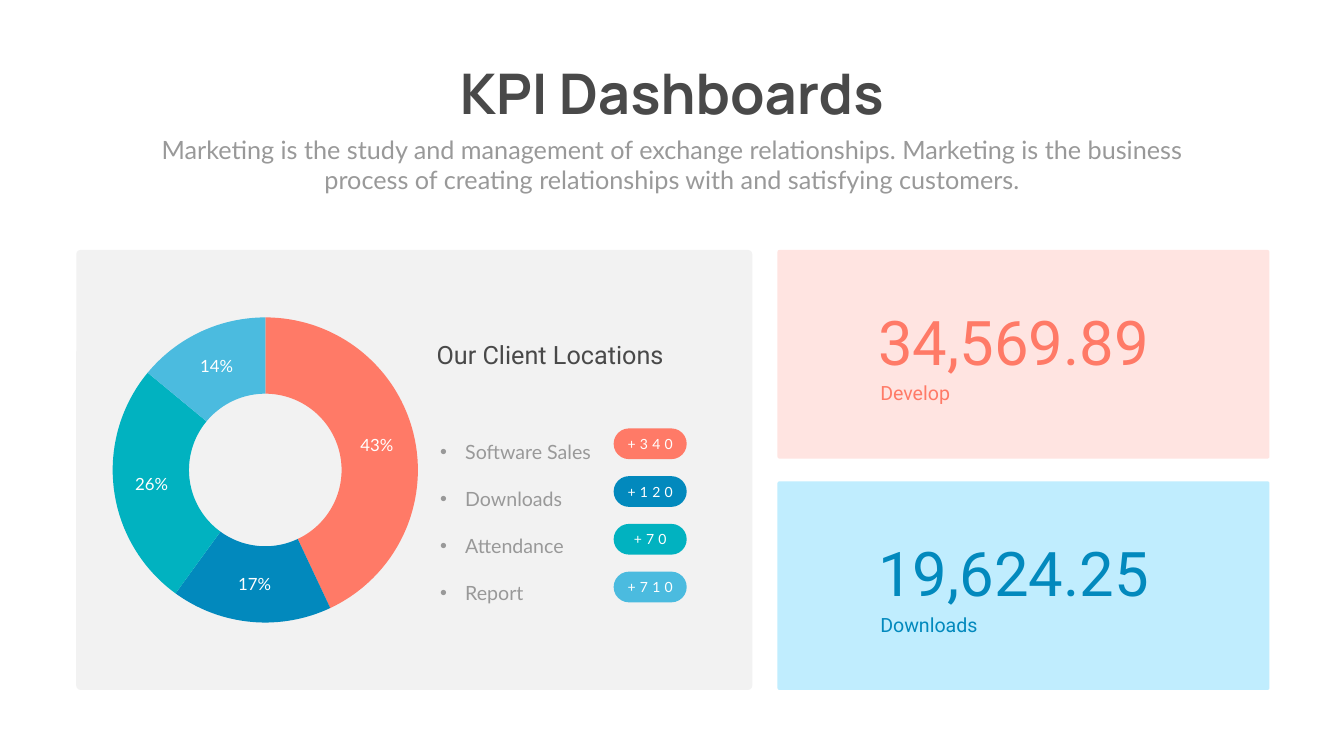
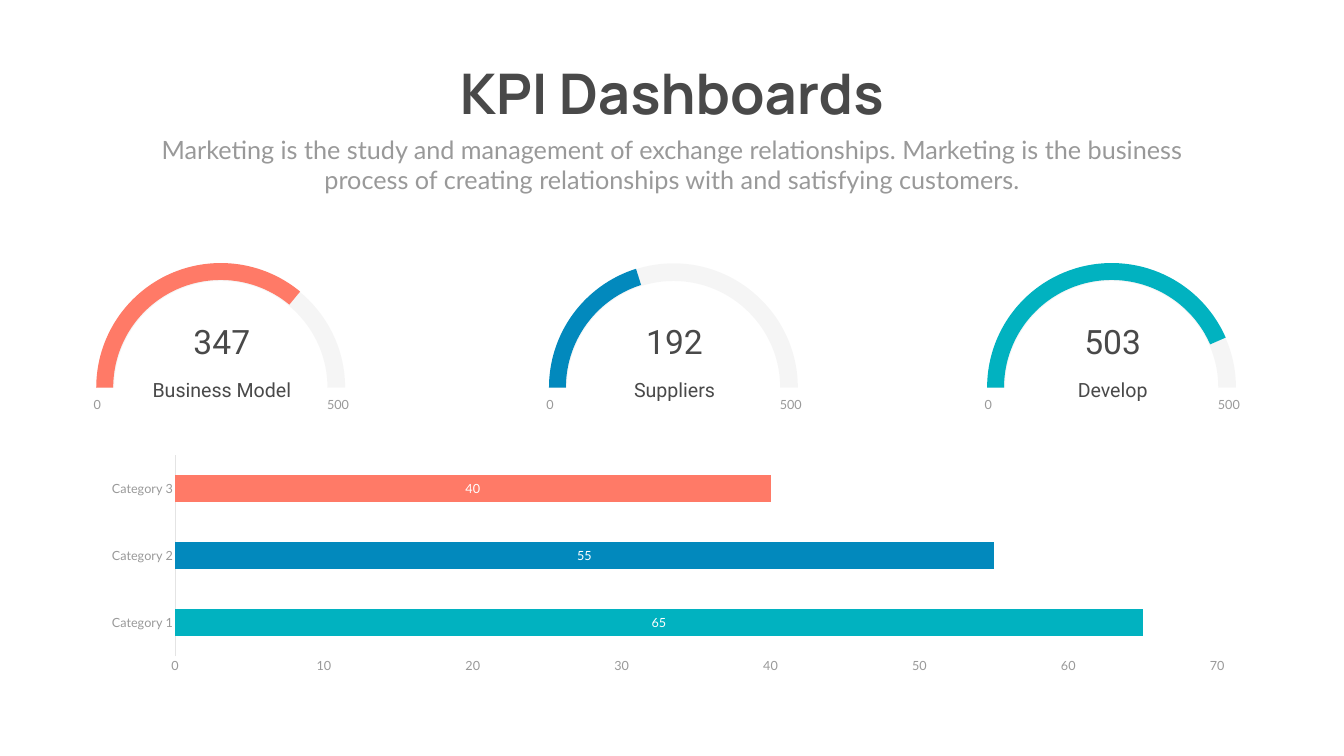
from lxml.etree import SubElement
from pptx import Presentation
from pptx.chart.data import CategoryChartData
from pptx.dml.color import RGBColor
from pptx.enum.chart import XL_CHART_TYPE, XL_LABEL_POSITION, XL_TICK_MARK
from pptx.enum.shapes import MSO_SHAPE
from pptx.enum.text import MSO_ANCHOR, MSO_AUTO_SIZE, PP_ALIGN
from pptx.oxml.ns import qn
from pptx.util import Pt

COLORS = {
    "coral": "FF7A67",
    "blue": "0289BD",
    "teal": "01B2C0",
    "sky": "4BBBDF",
    "heading": "494949",
    "muted": "999999",
    "panel": "F2F2F2",
    "blush": "FFE4E1",
    "ice": "C0EDFE",
    "axis": "E4E4E4",
    "white": "FFFFFF",
}
TITLE = "KPI Dashboards"
SUBTITLE = (
    "Marketing is the study and management of exchange relationships. "
    "Marketing is the business process of creating relationships with "
    "and satisfying customers."
)
LOCATIONS = [
    ("Software Sales", "+340", 43, "coral"),
    ("Downloads", "+120", 17, "blue"),
    ("Attendance", "+70", 26, "teal"),
    ("Report", "+710", 14, "sky"),
]
CARDS = [
    ("34,569.89", "Develop", "coral", "blush"),
    ("19,624.25", "Downloads", "blue", "ice"),
]
GAUGES = [
    (137.5, "347", "Business Model", 287.3, 230.42, "coral"),
    (784.1, "192", "Suppliers", 166.3, 287.53, "blue"),
    (1409.8, "503", "Develop", 166.3, 203.65, "teal"),
]
CATEGORIES = [
    ("Category 1", 65, "teal"),
    ("Category 2", 55, "blue"),
    ("Category 3", 40, "coral"),
]
ARC_HANDLE = 0.55


def rgb(name):
    return RGBColor.from_string(COLORS[name])


def style_font(font, size, color, face="Lato", bold=False):
    font.size = Pt(size)
    font.name = face
    font.bold = bold
    font.color.rgb = rgb(color)


def paint(shape, color):
    shape.shadow.inherit = False
    shape.fill.solid()
    shape.fill.fore_color.rgb = rgb(color)
    shape.line.fill.background()


def add_box(slide, kind, box, color, *adjustments):
    shape = slide.shapes.add_shape(kind, *map(Pt, box))
    paint(shape, color)
    for index, value in enumerate(adjustments):
        shape.adjustments[index] = value
    return shape


def add_text(slide, box, text, size, color, face="Lato", bold=False,
             align=PP_ALIGN.LEFT, wrap=True):
    label = slide.shapes.add_textbox(*map(Pt, box))
    frame = label.text_frame
    frame.text = text
    frame.word_wrap = wrap
    frame.auto_size = MSO_AUTO_SIZE.SHAPE_TO_FIT_TEXT
    for paragraph in frame.paragraphs:
        paragraph.alignment = align
        for run in paragraph.runs:
            style_font(run.font, size, color, face, bold)
    return frame


def add_header(slide):
    add_text(slide, (624.2, 80.6, 671, 104.4), TITLE, 80, "heading",
             "Manrope", True, PP_ALIGN.CENTER, False)
    add_text(slide, (210.2, 187.9, 1499, 94.3), SUBTITLE, 36, "muted",
             align=PP_ALIGN.CENTER)


def add_series_chart(slide, kind, box, names, values, colors, size):
    data = CategoryChartData()
    data.categories = names
    data.add_series("Series 1", values)
    chart = slide.shapes.add_chart(kind, *map(Pt, box), data).chart
    chart.has_legend = False
    chart.has_title = False
    style_font(chart.font, size, "muted")
    plot = chart.plots[0]
    for index, color in enumerate(colors):
        point = plot.series[0].points[index].format
        point.fill.solid()
        point.fill.fore_color.rgb = rgb(color)
        point.line.fill.background()
    plot.has_data_labels = True
    return chart


def add_locations_chart(slide, box):
    _, _, shares, colors = zip(*LOCATIONS)
    chart = add_series_chart(slide, XL_CHART_TYPE.DOUGHNUT, box,
                             ["1", "2", "3", "4"], shares, colors, 20)
    labels = chart.plots[0].data_labels
    labels.show_percentage = True
    labels.show_value = False
    labels.number_format = "0%"
    labels.number_format_is_linked = False
    style_font(labels.font, 24, "white")


def add_bullet(paragraph):
    properties = paragraph._p.get_or_add_pPr()
    properties.set("marL", str(Pt(36)))
    properties.set("indent", str(-Pt(36)))
    SubElement(properties, qn("a:buFont")).set("typeface", "Arial")
    SubElement(properties, qn("a:buChar")).set("char", "•")


def add_pill(slide, box, gain, color):
    pill = add_box(slide, MSO_SHAPE.ROUNDED_RECTANGLE, box, color, 0.5)
    frame = pill.text_frame
    frame.text = gain
    frame.word_wrap = False
    frame.vertical_anchor = MSO_ANCHOR.MIDDLE
    frame.paragraphs[0].alignment = PP_ALIGN.CENTER
    run = frame.paragraphs[0].runs[0]
    style_font(run.font, 20, "white")
    run._r.get_or_add_rPr().set("spc", "600")


def add_locations(slide, left, top, width, height):
    add_box(slide, MSO_SHAPE.ROUNDED_RECTANGLE, (left, top, width, height),
            "panel", 0.01)
    add_locations_chart(slide, (left + 18.7, top + 86.4, 502.6, 455.8))
    add_text(slide, (left + 507.6, top + 123.9, 403.2, 51.1),
             "Our Client Locations", 36, "heading", "Roboto")
    names = add_text(slide, (left + 512.5, top + 234, 297.4, 267.8),
                     "\n".join(place[0] for place in LOCATIONS), 28, "muted")
    for paragraph in names.paragraphs:
        paragraph.line_spacing = 2.0
        add_bullet(paragraph)
    for row, (_, gain, _, color) in enumerate(LOCATIONS):
        add_pill(slide, (left + 767.5, top + 254.9 + row * 68.2, 104.4, 43.9),
                 gain, color)


def add_card(slide, box, figure, caption, color, tint):
    left, top = box[:2]
    add_box(slide, MSO_SHAPE.ROUNDED_RECTANGLE, box, tint, 0.01)
    add_text(slide, (left + 136.8, top + 72.8, 429.1, 113.8), figure, 88,
             color, "Roboto")
    add_text(slide, (left + 139.7, top + 184, 294.5, 41), caption, 28,
             color, "Roboto")


def half_ring(center, base, radius):
    handle = radius * ARC_HANDLE
    left, right, top = center - radius, center + radius, base - radius
    rise = [(left, base), (left, base - handle), (center - handle, top)]
    fall = [(center + handle, top), (right, base - handle), (right, base)]
    return rise, (center, top), fall


def add_track(slide, left, top, radius, thickness):
    center, base = left + radius, top + radius
    rise, crown, fall = half_ring(center, base, radius)
    inner_rise, inner_crown, inner_fall = half_ring(center, base,
                                                    radius - thickness)
    outline = [*fall, *inner_fall[::-1], inner_crown, *inner_rise[::-1],
               *rise, crown]
    builder = slide.shapes.build_freeform(*map(Pt, crown))
    builder.add_line_segments([(Pt(x), Pt(y)) for x, y in outline])
    track = builder.convert_to_shape()
    paint(track, "muted")
    properties = track._element.spPr
    SubElement(properties.find(qn("a:solidFill"))[0],
               qn("a:alpha")).set("val", "9000")
    lines = list(properties.iter(qn("a:lnTo")))
    for first in (0, 4, 7, 11):
        curve = lines[first].makeelement(qn("a:cubicBezTo"))
        lines[first].addprevious(curve)
        for line in lines[first:first + 3]:
            curve.append(line[0])
            line.getparent().remove(line)
    SubElement(next(properties.iter(qn("a:path"))), qn("a:close"))


def add_gauge(slide, left, top, figure, caption, caption_width, start, color):
    size = 355.7
    add_track(slide, left + 0.4, top + 0.4, 177.5, 25.2)
    arc = add_box(slide, MSO_SHAPE.BLOCK_ARC, (left, top, size, size), color,
                  start * 0.6, 0.016, 0.068)
    arc._element.spPr.find(qn("a:xfrm")).set("flipH", "1")
    middle = left + 179.3
    add_text(slide, (middle - 81, top + 79.5, 162, 65.5), figure, 48,
             "heading", "Roboto", align=PP_ALIGN.CENTER)
    add_text(slide, (middle - caption_width / 2, top + 160.2, caption_width, 41),
             caption, 28, "heading", "Roboto", align=PP_ALIGN.CENTER)
    add_text(slide, (left - 10.8, top + 187.9, 46.8, 28.8), "0", 18, "muted")
    add_text(slide, (left + 302.4, top + 187.9, 85.7, 28.8), "500", 18,
             "muted", align=PP_ALIGN.CENTER)


def add_category_chart(slide, box):
    chart = add_series_chart(slide, XL_CHART_TYPE.BAR_STACKED, box,
                             *zip(*CATEGORIES), 18)
    plot = chart.plots[0]
    plot.vary_by_categories = False
    plot.gap_width = 150
    plot.overlap = 100
    labels = plot.data_labels
    labels.show_value = True
    labels.position = XL_LABEL_POSITION.CENTER
    style_font(labels.font, 18, "white")
    for axis in (chart.category_axis, chart.value_axis):
        axis.has_major_gridlines = False
        axis.major_tick_mark = XL_TICK_MARK.NONE
        axis.minor_tick_mark = XL_TICK_MARK.NONE
        style_font(axis.tick_labels.font, 18, "muted")
    category_line = chart.category_axis.format.line
    category_line.color.rgb = rgb("axis")
    category_line.width = Pt(0.75)
    scale = chart.value_axis
    scale.format.line.fill.background()
    scale.minimum_scale = 0
    scale.maximum_scale = 70
    scale.major_unit = 10


def build_locations_slide(slide):
    add_header(slide)
    add_locations(slide, 108.9, 357.1, 965.5, 628.6)
    for row, card in enumerate(CARDS):
        add_card(slide, (1110.4, 357.1 + row * 330.5, 702.7, 298.1), *card)


def build_gauges_slide(slide):
    add_header(slide)
    add_category_chart(slide, (126.7, 643.7, 1655.3, 324.7))
    for left, *gauge in GAUGES:
        add_gauge(slide, left, 375.8, *gauge)


def main():
    deck = Presentation()
    deck.slide_width, deck.slide_height = Pt(1919.52), Pt(1080)
    blank = deck.slide_layouts[6]
    for build in (build_locations_slide, build_gauges_slide):
        build(deck.slides.add_slide(blank))
    deck.save("out.pptx")


if __name__ == "__main__":
    main()
